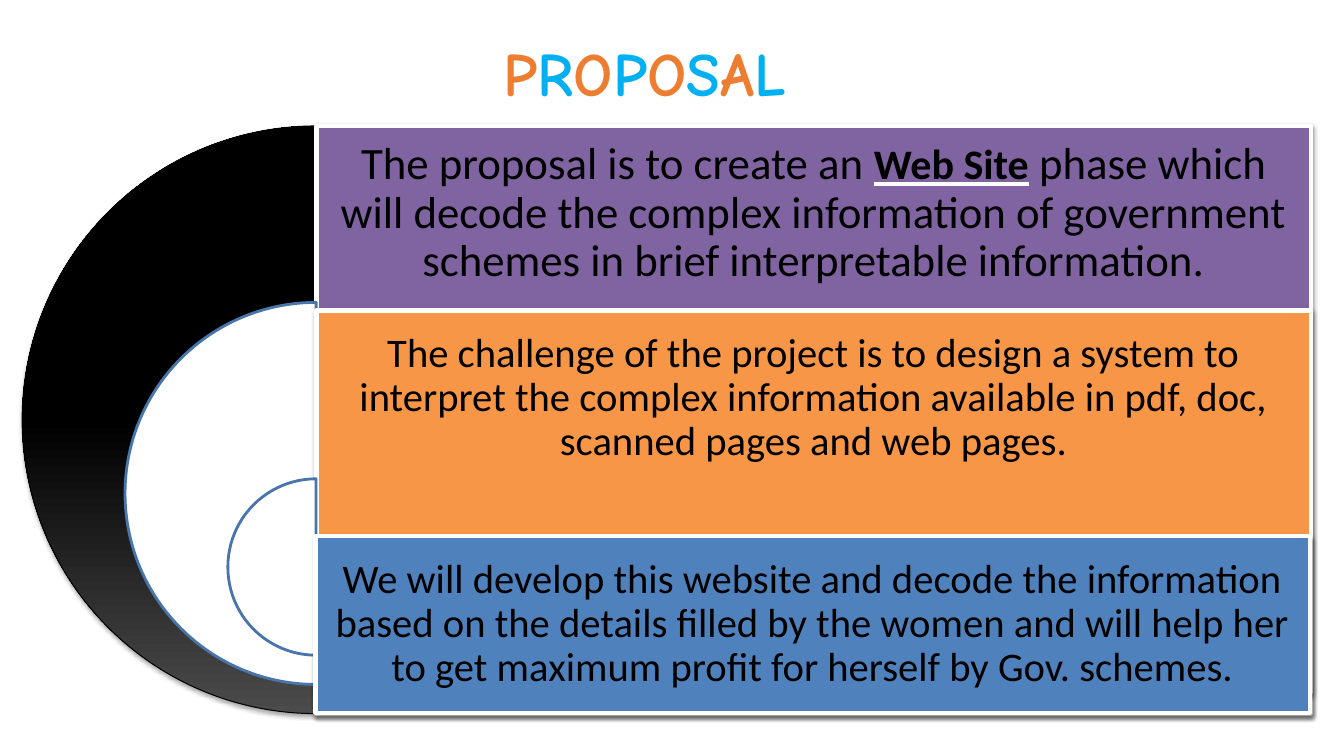
from lxml import etree
from pptx import Presentation
from pptx.dml.color import RGBColor
from pptx.enum.shapes import MSO_SHAPE
from pptx.enum.text import MSO_ANCHOR, MSO_AUTO_SIZE, PP_ALIGN
from pptx.oxml.ns import qn
from pptx.util import Inches, Pt

PIE, RECT = MSO_SHAPE.CHORD, MSO_SHAPE.RECTANGLE
PIE = MSO_SHAPE.PIE
MIDDLE, CENTER, NO_FIT = MSO_ANCHOR.MIDDLE, PP_ALIGN.CENTER, MSO_AUTO_SIZE.NONE

COLORS = {
    "black": "000000", "white": "FFFFFF", "gray": "4B4B4B", "outline": "4875AC",
    "purple": "8064A2", "orange": "F79646", "blue": "4F81BD",
    "title_orange": "ED7D31", "title_blue": "00B0F0",
}


def rgb(name):
    return RGBColor.from_string(COLORS[name])


class Slide:
    def __init__(self, prs):
        self.s = prs.slides.add_slide(prs.slide_layouts[5])

    def place(self, sp, box):
        sp.left, sp.top, sp.width, sp.height = (Inches(v) for v in box)

    def underline(self, r):
        r.font.underline = True
        rPr = r.font._element
        u_fill = etree.Element(qn("a:uFill"))
        solid = etree.SubElement(u_fill, qn("a:solidFill"))
        etree.SubElement(solid, qn("a:srgbClr"), val=COLORS["white"])
        latin = rPr.find(qn("a:latin"))
        if latin is None:
            rPr.append(u_fill)
        else:
            latin.addprevious(u_fill)

    def title(self, text, box, colors):
        sp = self.s.shapes.title
        self.place(sp, box)
        tf = sp.text_frame
        tf.auto_size, tf.vertical_anchor = NO_FIT, MIDDLE
        p = tf.paragraphs[0]
        p.alignment = CENTER
        p.font.name, p.font.size, p.font.bold = "Comic Neue", Pt(44), True
        for i, letter in enumerate(text):
            r = p.add_run()
            r.text = letter
            r.font.color.rgb = rgb(colors[i % len(colors)])
            self.underline(r)

    def shape(self, kind, box, fill, line, width):
        sp = self.s.shapes.add_shape(kind, *(Inches(v) for v in box))
        sp.fill.solid()
        sp.fill.fore_color.rgb = rgb(fill)
        sp.line.color.rgb = rgb(line)
        sp.line.width = Pt(width)
        sp.shadow.inherit = False
        return sp

    def shadow(self, sp, alpha, dist):
        effects = sp._element.spPr.find(qn("a:effectLst"))
        outer = etree.SubElement(effects, qn("a:outerShdw"), blurRad=str(Pt(3.1)),
                                 dist=str(Pt(dist)), dir="5400000", rotWithShape="0")
        color = etree.SubElement(outer, qn("a:srgbClr"), val=COLORS["black"])
        etree.SubElement(color, qn("a:alpha"), val=str(alpha * 1000))

    def half_disc(self, left, top, size, line="outline", width=2):
        sp = self.shape(PIE, (left, top, size, size), "white", line, width)
        sp.adjustments[0], sp.adjustments[1] = 54, 162
        return sp

    def gradient(self, sp, stops):
        sp.fill.gradient()
        sp.fill.gradient_angle = 90
        for stop, (position, color) in zip(sp.fill.gradient_stops, stops):
            stop.position = position
            stop.color.rgb = rgb(color)

    def panel(self, box, fill, parts, size, inset, bottom):
        sp = self.shape(RECT, box, fill, "white", 3)
        self.shadow(sp, 38, 1.6)
        tf = sp.text_frame
        tf.word_wrap, tf.vertical_anchor = True, MIDDLE
        tf.margin_left = tf.margin_top = tf.margin_right = Inches(inset)
        tf.margin_bottom = Inches(bottom)
        p = tf.paragraphs[0]
        p.alignment, p.line_spacing = CENTER, 0.9
        p.font.name, p.font.size = "Calibri", Pt(size)
        p.font.color.rgb = rgb("black")
        for text, strong_size in parts:
            r = p.add_run()
            r.text = text
            if strong_size:
                r.font.size, r.font.bold = Pt(strong_size), True
                self.underline(r)


prs = Presentation()
prs.slide_width, prs.slide_height = Inches(13.33), Inches(7.5)
slide = Slide(prs)

slide.title("PROPOSAL", (0.56, 0.25, 11.67, 0.92), ("title_orange", "title_blue"))

disc = slide.half_disc(0.22, 1.25, 5.83, "black", 0.75)
slide.gradient(disc, [(0, "gray"), (0.5, "black")])
slide.shadow(disc, 35, 1.8)
slide.panel((3.14, 1.25, 9.86, 5.83), "purple", [
    ("The proposal is to create an ", None),
    ("Web Site", 30),
    (" phase which will decode the complex information of government schemes "
     "in brief interpretable information.", None),
], 32, 0.13, 4.22)

slide.half_disc(1.24, 3, 3.79)
slide.panel((3.14, 3.08, 9.86, 3.79), "orange", [
    ("The challenge of the project is to design a system to interpret the complex "
     "information available in pdf, doc, scanned pages and web pages.", None),
], 29, 0.12, 2.16)

slide.half_disc(2.26, 4.75, 1.75)
slide.panel((3.13, 5.32, 9.86, 1.75), "blue", [
    ("We will develop this website and decode the information based on the details "
     "filled by the women and will help her to get maximum profit for herself by "
     "Gov. schemes.", None),
], 29, 0.12, 0.12)

prs.save("out.pptx")
